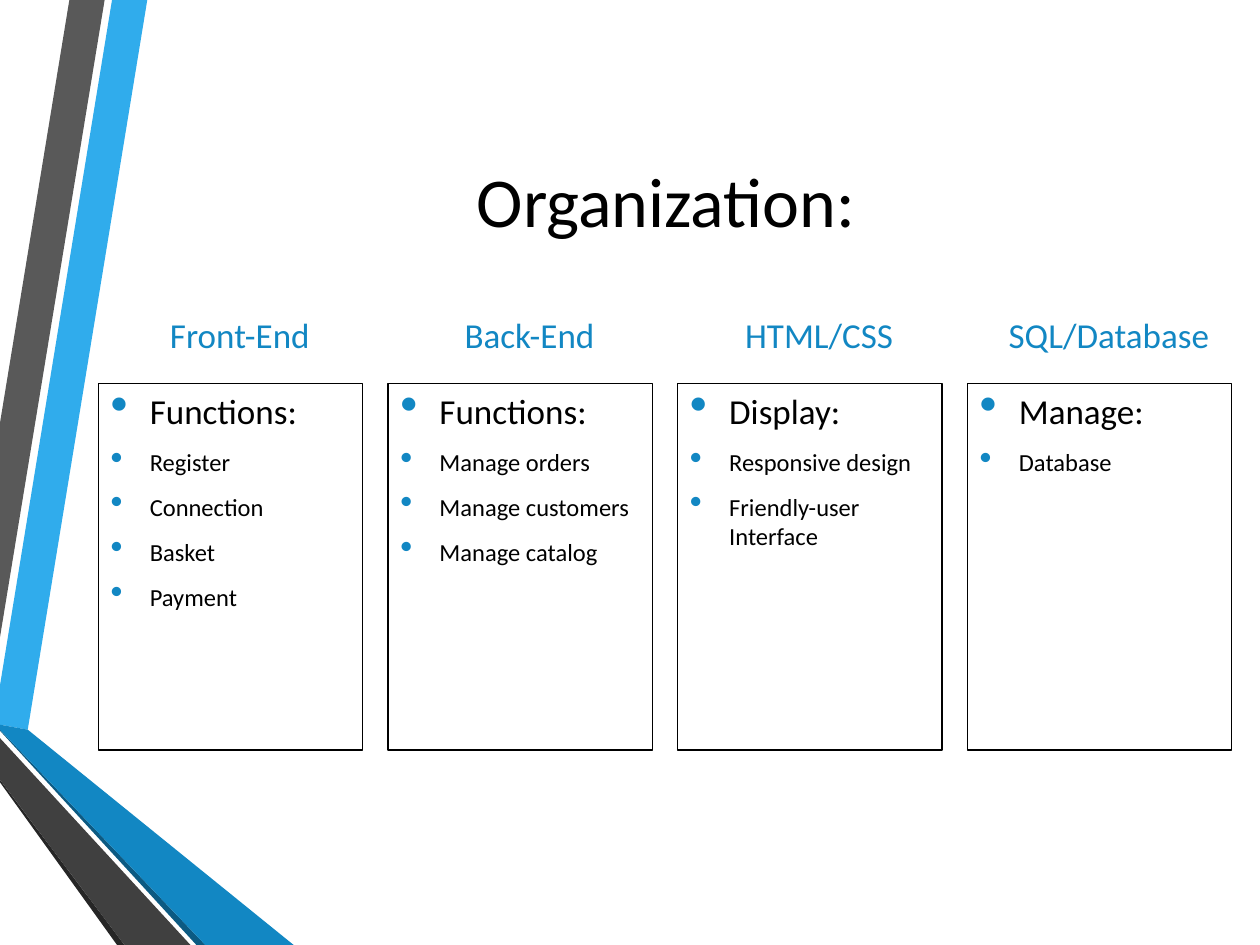
from dataclasses import dataclass

from lxml.etree import SubElement
from pptx import Presentation
from pptx.dml.color import RGBColor
from pptx.enum.shapes import MSO_SHAPE
from pptx.enum.text import MSO_ANCHOR, PP_ALIGN
from pptx.oxml.ns import qn
from pptx.util import Cm, Pt


@dataclass(frozen=True)
class Theme:
    font: str = "Calibri"
    black: str = "000000"
    accent: str = "1287C3"
    light_blue: str = "30ACEC"
    dark_blue: str = "0C5A82"
    light_gray: str = "595959"
    gray: str = "404040"
    dark_gray: str = "262626"
    title_size: int = 40
    heading_size: int = 20
    item_size: int = 14
    line_width: float = 0.75
    bullet_percent: int = 145


THEME = Theme()

# Decorative ribbons: colour and corner points in centimetres
RIBBONS = [
    (THEME.light_blue, [(0, 13.82), (0, 14.61), (0.56, 14.71), (2.97, 0), (2.26, 0)]),
    (THEME.light_gray, [(2.11, 0), (1.4, 0), (0, 8.53), (0, 12.85)]),
    (THEME.dark_gray, [(0, 15.72), (0, 15.77), (2.36, 19.05), (2.51, 19.05)]),
    (THEME.dark_blue, [(0, 14.71), (0, 14.73), (3.96, 19.05), (4.14, 19.05)]),
    (THEME.accent, [(0, 14.71), (4.14, 19.05), (5.92, 19.05), (0.56, 14.71), (0, 14.61)]),
    (THEME.gray, [(0, 15.72), (2.51, 19.05), (3.84, 19.05), (0, 14.88)]),
]

# Heading, lead line and items of each column
COLUMNS = [
    ("Front-End", "Functions:", ["Register", "Connection", "Basket", "Payment"]),
    ("Back-End", "Functions:", ["Manage orders", "Manage customers", "Manage catalog"]),
    ("HTML/CSS", "Display:", ["Responsive design", "Friendly-user Interface"]),
    ("SQL/Database", "Manage:", ["Database"]),
]
FIRST_LEFT, COLUMN_STEP = 1.98, 5.84
HEADING_SHIFT = 0.37


def style_paragraph(para, size, color, align):
    para.alignment = align
    for span in para.runs:
        span.font.name = THEME.font
        span.font.size = Pt(size)
        span.font.color.rgb = RGBColor.from_string(color)


def set_list_spacing(para, size):
    para.space_before = Pt(size * 0.2)
    para.space_after = Pt(6)


def add_bullet(para):
    properties = para._p.get_or_add_pPr()
    properties.set("marL", str(Cm(0.79)))
    properties.set("indent", str(-Cm(0.79)))
    color = SubElement(properties, qn("a:buClr"))
    SubElement(color, qn("a:srgbClr"), val=THEME.accent)
    SubElement(properties, qn("a:buSzPct"), val=str(THEME.bullet_percent * 1000))
    SubElement(properties, qn("a:buChar"), char="•")


def add_ribbon(page, color, points):
    corners = [(Cm(x), Cm(y)) for x, y in points]
    builder = page.shapes.build_freeform(*corners[0])
    builder.add_line_segments(corners[1:], close=True)
    ribbon = builder.convert_to_shape()
    ribbon.shadow.inherit = False
    ribbon.fill.solid()
    ribbon.fill.fore_color.rgb = RGBColor.from_string(color)
    ribbon.line.fill.background()


def add_label(page, text, place, size, color, anchor):
    box = page.shapes.add_textbox(*map(Cm, place))
    frame = box.text_frame
    frame.word_wrap = True
    frame.vertical_anchor = anchor
    frame.text = text
    para = frame.paragraphs[0]
    style_paragraph(para, size, color, PP_ALIGN.CENTER)
    return para


def add_list_box(page, left, lead, items):
    box = page.shapes.add_shape(MSO_SHAPE.RECTANGLE, Cm(left), Cm(7.73), Cm(5.33), Cm(7.39))
    box.shadow.inherit = False
    box.fill.background()
    box.line.color.rgb = RGBColor.from_string(THEME.black)
    box.line.width = Pt(THEME.line_width)
    frame = box.text_frame
    frame.word_wrap = True
    frame.vertical_anchor = MSO_ANCHOR.TOP
    frame.text = "\n".join([lead, *items])
    for index, para in enumerate(frame.paragraphs):
        size = THEME.item_size if index else THEME.heading_size
        style_paragraph(para, size, THEME.black, PP_ALIGN.LEFT)
        set_list_spacing(para, size)
        add_bullet(para)


def main():
    deck = Presentation()
    deck.slide_width, deck.slide_height = Cm(25.4), Cm(19.05)
    page = deck.slides.add_slide(deck.slide_layouts[6])

    # Ribbons along the left edge
    for color, points in RIBBONS:
        add_ribbon(page, color, points)

    # Title
    add_label(page, "Organization:", (2.72, 1.27, 21.41, 5.51),
              THEME.title_size, THEME.black, MSO_ANCHOR.MIDDLE)

    # Four columns, each a heading above a bordered list
    for index, (heading, lead, items) in enumerate(COLUMNS):
        left = FIRST_LEFT + index * COLUMN_STEP
        para = add_label(page, heading, (left + HEADING_SHIFT, 5.69, 4.97, 1.6),
                         THEME.heading_size, THEME.accent, MSO_ANCHOR.BOTTOM)
        set_list_spacing(para, THEME.heading_size)
        add_list_box(page, left, lead, items)

    deck.save("out.pptx")


if __name__ == "__main__":
    main()
